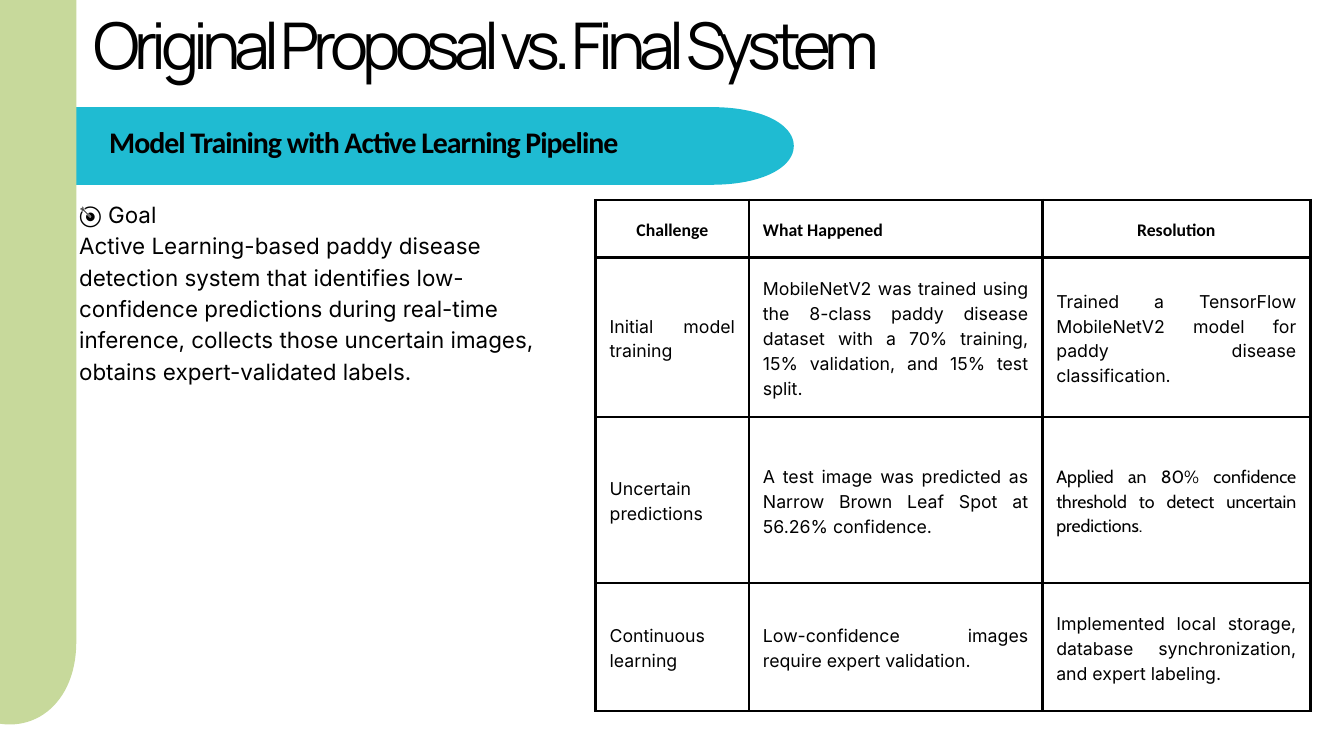
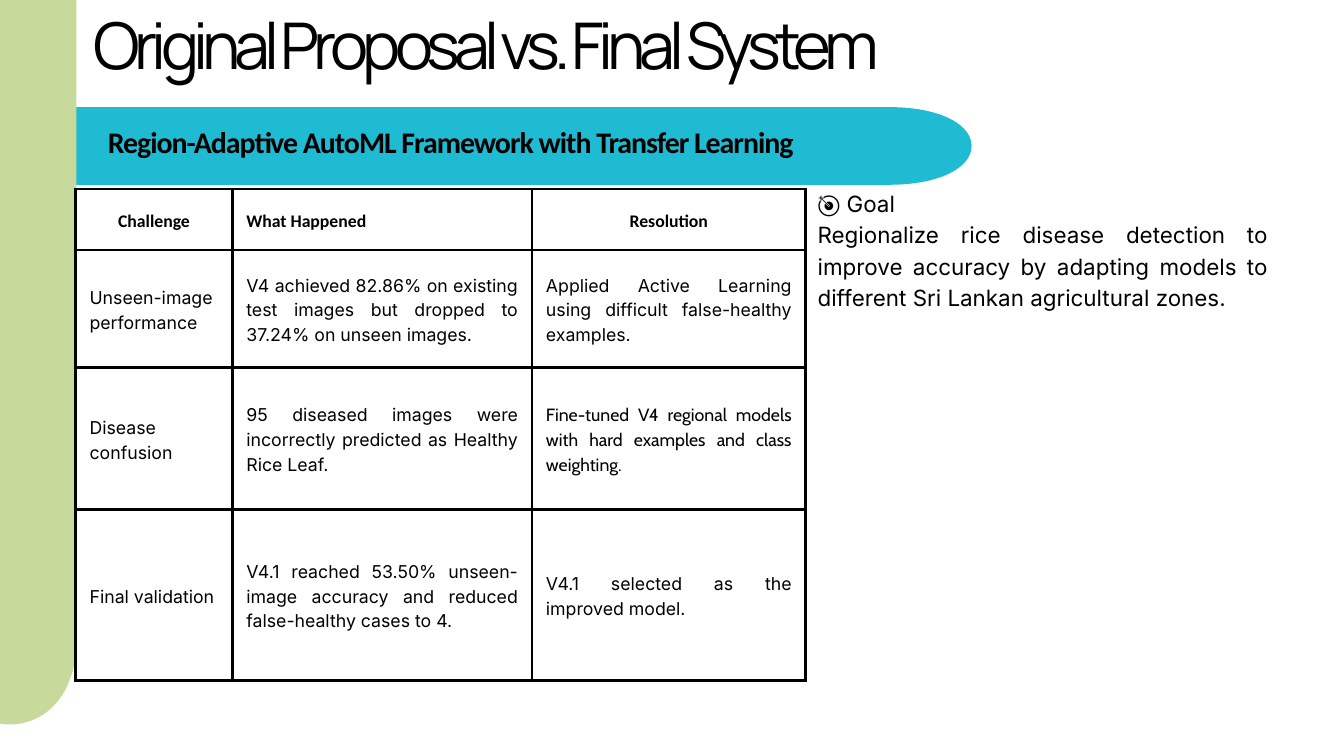
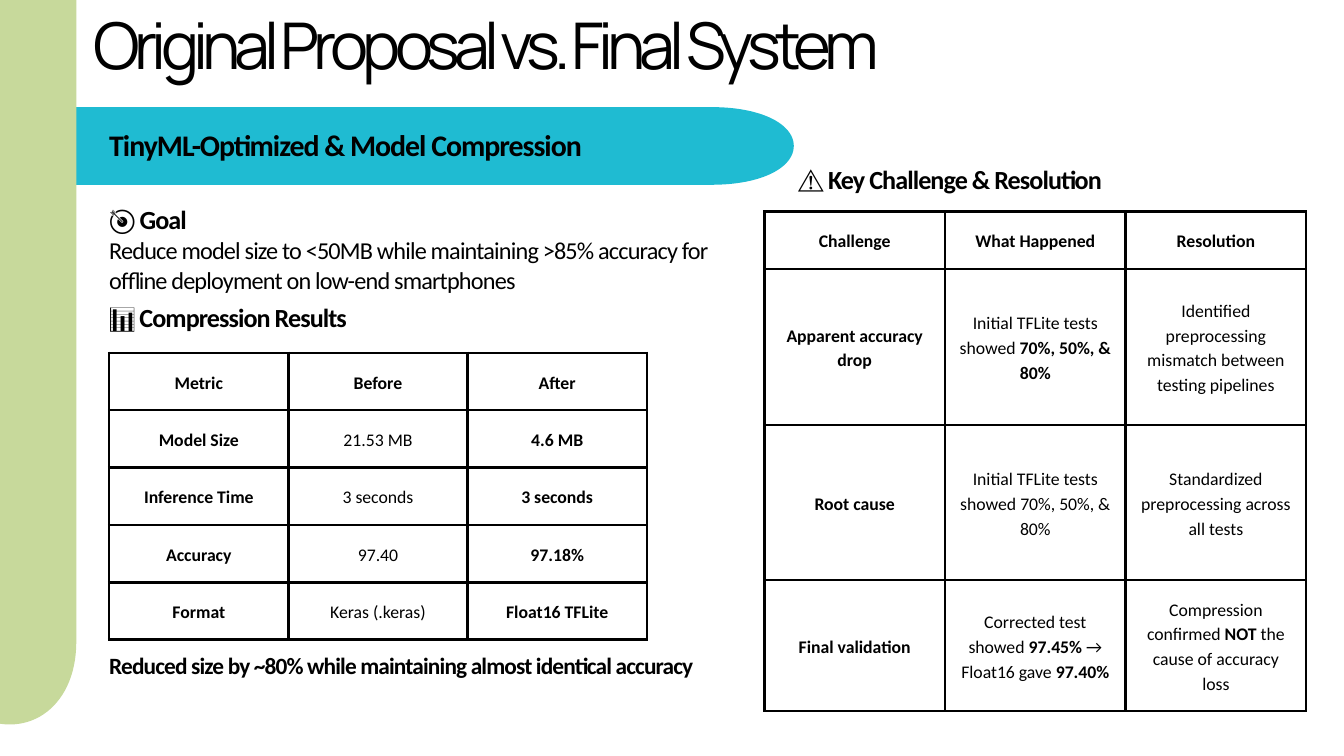
from collections import namedtuple

from lxml import etree
from pptx import Presentation
from pptx.dml.color import RGBColor
from pptx.enum.text import MSO_ANCHOR, PP_ALIGN
from pptx.oxml.ns import qn
from pptx.util import Emu, Pt

LEFT, CENTER, JUSTIFY = PP_ALIGN.LEFT, PP_ALIGN.CENTER, PP_ALIGN.JUSTIFY
MIDDLE = MSO_ANCHOR.MIDDLE

BLACK, WHITE = "000000", "FFFFFF"
CYAN, GREEN = "1FBBD2", "C7D99B"

# Sizes, leading and letter spacing in points
Style = namedtuple("Style", "font size leading spacing bold")
TITLE = Style("Manrope", 69, 57.3, -6.3, False)
BAND = Style("Calibri", 32, 39.4, -1.1, True)
GOAL = Style("Inter", 24, 33.6, 0, False)
SECTION = Style("Calibri", 28, 34.4, -1, True)
BODY = Style("Calibri", 26, 32, -0.9, False)
SUMMARY = Style("Calibri", 25, 30.7, -0.9, True)
CELL = Style("Calibri", 19, 26.6, 0, False)

CAP = 118          # length of the rounded end of a bar
CAP_STEPS = 24
CELL_MARGIN = 20
BORDER_PT = 3
HEADERS = ["**Challenge**", "**What Happened**", "**Resolution**"]


def px(n):
    return Emu(round(n * 9525))


def rgb(value):
    return RGBColor.from_string(value)


def cap_points(length, half):
    """Points of the curve from the edge of a bar to the tip of its end."""
    along = (length - CAP, length - 0.38 * CAP, length, length)
    across = (0, 0, 0.45 * half, half)
    for i in range(CAP_STEPS + 1):
        t = i / CAP_STEPS
        weights = ((1 - t) ** 3, 3 * t * (1 - t) ** 2, 3 * t * t * (1 - t), t ** 3)
        yield tuple(sum(w * c for w, c in zip(weights, axis)) for axis in (along, across))


def add_bar(slide, x, y, length, thickness, color, vertical=False):
    """Bar with one rounded end, pointing right or down."""
    curve = list(cap_points(length, thickness / 2))
    mirrored = [(a, thickness - b) for a, b in reversed(curve[:-1])]
    points = [(0, 0)] + curve + mirrored + [(0, thickness)]
    if vertical:
        points = [(b, a) for a, b in points]
    points = [(px(x + a), px(y + b)) for a, b in points]
    builder = slide.shapes.build_freeform(*points[0])
    builder.add_line_segments(points[1:])
    sp = builder.convert_to_shape()
    sp.shadow.inherit = False
    sp.fill.solid()
    sp.fill.fore_color.rgb = rgb(color)
    sp.line.fill.background()


def format_paragraph(p, style, align):
    p.alignment = align
    p.line_spacing = Pt(style.leading)
    p.font.name = style.font
    p.font.size = Pt(style.size)
    p.font.bold = style.bold
    p.font.color.rgb = rgb(BLACK)


def add_text(slide, x, y, w, h, *paragraphs, align=LEFT):
    """Text box; each paragraph is a (text, style) pair."""
    tf = slide.shapes.add_textbox(px(x), px(y), px(w), px(h)).text_frame
    tf.word_wrap = True
    tf.margin_left = tf.margin_right = tf.margin_top = tf.margin_bottom = 0
    for i, (text, style) in enumerate(paragraphs):
        p = tf.add_paragraph() if i else tf.paragraphs[0]
        format_paragraph(p, style, align)
        r = p.add_run()
        r.text = text
        if style.spacing:
            r._r.get_or_add_rPr().set("spc", str(round(style.spacing * 100)))


def add_borders(cell):
    tc_pr = cell._tc.get_or_add_tcPr()
    for i, side in enumerate(("a:lnL", "a:lnR", "a:lnT", "a:lnB")):
        ln = etree.Element(qn(side), w=str(Pt(BORDER_PT)))
        fill = etree.SubElement(ln, qn("a:solidFill"))
        etree.SubElement(fill, qn("a:srgbClr"), val=BLACK)
        tc_pr.insert(i, ln)


def fill_cell(cell, text, style, align):
    """Write text whose **marked** parts are bold."""
    cell.margin_left = cell.margin_right = px(CELL_MARGIN)
    cell.margin_top = cell.margin_bottom = px(CELL_MARGIN)
    cell.vertical_anchor = MIDDLE
    cell.fill.solid()
    cell.fill.fore_color.rgb = rgb(WHITE)
    add_borders(cell)
    p = cell.text_frame.paragraphs[0]
    format_paragraph(p, style, align)
    for i, part in enumerate(text.split("**")):
        if part:
            r = p.add_run()
            r.text = part
            if i % 2:
                r.font.bold = True


def add_grid(slide, x, y, widths, heights, rows, header_aligns=(CENTER,) * 3,
             body_align=CENTER, body_font="Calibri", cell_fonts=None):
    frame = slide.shapes.add_table(len(heights), len(widths), px(x), px(y),
                                   px(sum(widths)), px(sum(heights)))
    table = frame.table
    table.first_row = table.horz_banding = False
    for column, w in zip(table.columns, widths):
        column.width = px(w)
    for row, h in zip(table.rows, heights):
        row.height = px(h)
    for i, row in enumerate(rows):
        for j, text in enumerate(row):
            if i == 0:
                style, align = CELL, header_aligns[j]
            else:
                font = (cell_fonts or {}).get((i, j), body_font)
                style, align = CELL._replace(font=font), body_align
            fill_cell(table.cell(i, j), text, style, align)


def add_challenges(slide, x, y, widths, heights, rows):
    """Justified challenge table with one cell set in Cabin."""
    add_grid(slide, x, y, widths, heights, [HEADERS] + rows, (CENTER, LEFT, CENTER),
             JUSTIFY, "Inter", {(2, 2): "Cabin"})


def new_slide(prs, heading, heading_x, heading_y, band_length):
    slide = prs.slides.add_slide(prs.slide_layouts[6])
    slide.background.fill.solid()
    slide.background.fill.fore_color.rgb = rgb(WHITE)
    add_bar(slide, 84, 153, band_length, 111, CYAN)
    add_bar(slide, -81, -212, 1247, 190, GREEN, vertical=True)
    add_text(slide, 134, 41, 1306, 167, ("Original Proposal vs. Final System", TITLE))
    add_text(slide, heading_x, heading_y, band_length - 70, 53, (heading, BAND))
    return slide


def training_slide(prs):
    slide = new_slide(prs, "Model Training with Active Learning Pipeline", 156, 175, 1050)
    add_text(slide, 113, 281, 660, 306, ("🎯 Goal", GOAL),
             ("Active Learning-based paddy disease detection system that identifies "
              "low-confidence predictions during real-time inference, collects those "
              "uncertain images, obtains expert-validated labels.", GOAL))
    add_challenges(slide, 851, 286, (219, 419, 383), (82, 228, 237, 183), [
        ["Initial model training",
         "MobileNetV2 was trained using the 8-class paddy disease dataset with a 70% "
         "training, 15% validation, and 15% test split.",
         "Trained a TensorFlow MobileNetV2 model for paddy disease classification."],
        ["Uncertain predictions",
         "A test image was predicted as Narrow Brown Leaf Spot at 56.26% confidence.",
         "Applied an 80% confidence threshold to detect uncertain predictions."],
        ["Continuous learning",
         "Low-confidence images require expert validation.",
         "Implemented local storage, database synchronization, and expert labeling."],
    ])


def region_slide(prs):
    slide = new_slide(prs, "Region-Adaptive AutoML Framework with Transfer Learning",
                      154, 176, 1304)
    add_challenges(slide, 108, 270, (224, 428, 391), (87, 168, 203, 244), [
        ["Unseen-image performance",
         "V4 achieved 82.86% on existing test images but dropped to 37.24% on unseen images.",
         "Applied Active Learning using difficult false-healthy examples."],
        ["Disease confusion",
         "95 diseased images were incorrectly predicted as Healthy Rice Leaf.",
         "Fine-tuned V4 regional models with hard examples and class weighting."],
        ["Final validation",
         "V4.1 reached 53.50% unseen-image accuracy and reduced false-healthy cases to 4.",
         "V4.1 selected as the improved model."],
    ])
    add_text(slide, 1168, 265, 643, 175, ("🎯 Goal", GOAL),
             ("Regionalize rice disease detection to improve accuracy by adapting models "
              "to different Sri Lankan agricultural zones.", GOAL), align=JUSTIFY)


def compression_slide(prs):
    slide = new_slide(prs, "TinyML-Optimized & Model Compression", 156, 179, 1050)
    add_text(slide, 156, 289, 905, 130, ("🎯 Goal", SECTION),
             ("Reduce model size to <50MB while maintaining >85% accuracy for offline "
              "deployment on low-end smartphones", BODY))
    add_text(slide, 156, 429, 905, 91, ("📊 Compression Results", SECTION))
    add_grid(slide, 156, 504, (256,) * 3, (82,) * 5, [
        ["**Metric**", "**Before**", "**After**"],
        ["**Model Size**", "21.53 MB", "**4.6 MB**"],
        ["**Inference Time**", "3 seconds", "**3 seconds**"],
        ["**Accuracy**", "97.40", "**97.18%**"],
        ["**Format**", "Keras (.keras)", "**Float16 TFLite**"],
    ])
    add_text(slide, 156, 929, 905, 80,
             ("Reduced size by ~80% while maintaining almost identical accuracy", SUMMARY))
    add_text(slide, 1140, 233, 780, 91, ("⚠️ Key Challenge & Resolution", SECTION))
    add_grid(slide, 1092, 302, (258,) * 3, (82, 223, 222, 187), [
        HEADERS,
        ["**Apparent accuracy drop**",
         "Initial TFLite tests showed **70%, 50%, & 80%**",
         "Identified preprocessing mismatch between testing pipelines"],
        ["**Root cause**",
         "Initial TFLite tests showed 70%, 50%, & 80%",
         "Standardized preprocessing across all tests"],
        ["**Final validation**",
         "Corrected test showed **97.45%** → Float16 gave **97.40%**",
         "Compression confirmed **NOT** the cause of accuracy loss"],
    ])


def main():
    prs = Presentation()
    prs.slide_width, prs.slide_height = px(1920), px(1080)
    training_slide(prs)
    region_slide(prs)
    compression_slide(prs)
    prs.save("out.pptx")


if __name__ == "__main__":
    main()
